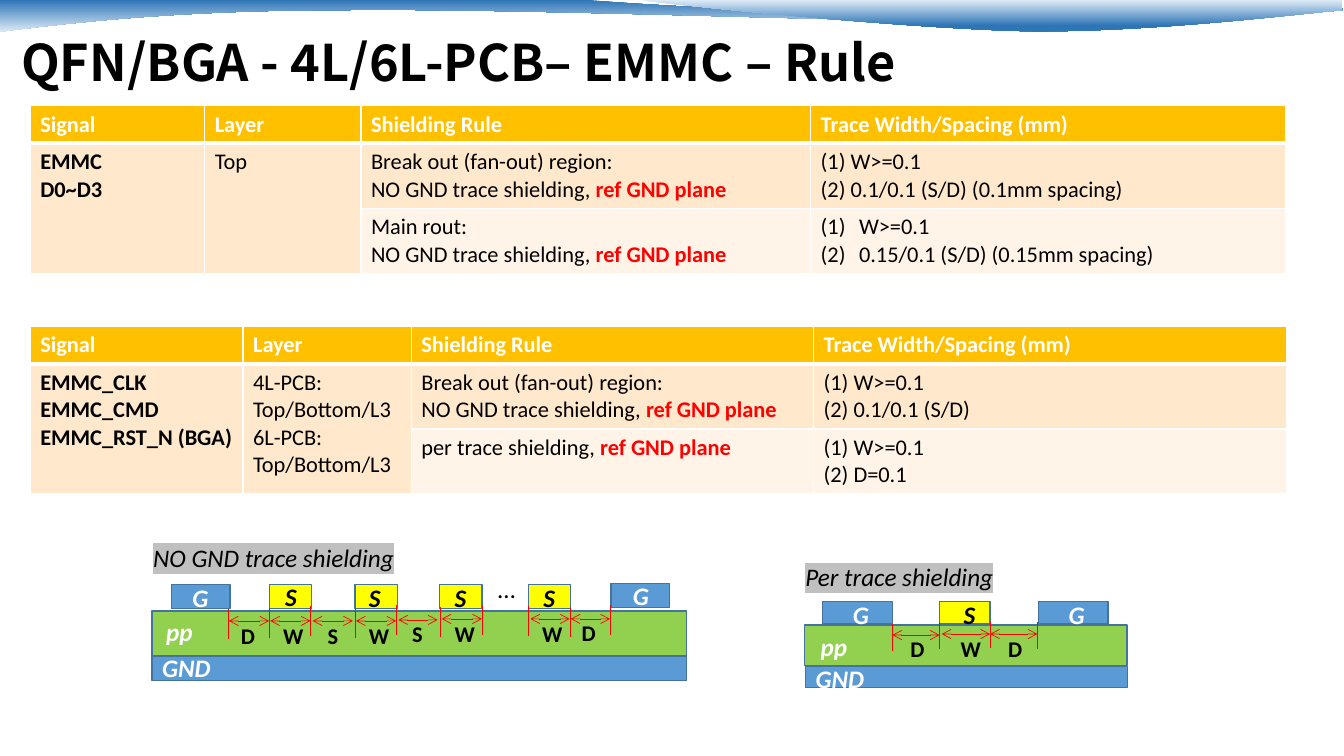
from lxml import etree
from pptx import Presentation
from pptx import util as u
from pptx.dml.color import RGBColor
from pptx.enum import shapes, text
from pptx.oxml.ns import qn

BLACK = RGBColor(0x00, 0x00, 0x00)
WHITE = RGBColor(0xFF, 0xFF, 0xFF)
RED = RGBColor(0xFF, 0x00, 0x00)
YELLOW = RGBColor(0xFF, 0xFF, 0x00)
GREEN = RGBColor(0x92, 0xD0, 0x50)
BLUE = RGBColor(0x5B, 0x9B, 0xD5)
OUTLINE = RGBColor(0x43, 0x73, 0x9E)
WAVE_DARK = RGBColor(0x2E, 0x75, 0xB6)
WAVE_LIGHT = RGBColor(0xDE, 0xEB, 0xF7)
HEADER = RGBColor(0xFF, 0xC0, 0x00)
ROW_FILLS = [HEADER, RGBColor(0xFF, 0xE8, 0xCC), RGBColor(0xFF, 0xF4, 0xE7)]
GREY = RGBColor(0xC0, 0xC0, 0xC0)

PX = 9144  # one px is a hundredth of an inch
LABEL_WIDTHS = {"pp": 52, "GND": 68, "G": 36, "S": 32, "W": 40, "D": 34, "…": 37}


class RuleSlide:
    font_name = "Calibri"

    def __init__(self, presentation):
        self.slide = presentation.slides.add_slide(presentation.slide_layouts[5])
        self.shapes = self.slide.shapes

    def px(self, *lengths):
        return [u.Emu(round(length * PX)) for length in lengths]

    def format_run(self, run, size, color, bold=False, italic=False, name=None):
        font = run.font
        font.size, font.bold, font.italic = u.Pt(size), bold, italic
        font.name = name or self.font_name
        font.color.rgb = color

    def title(self, content, box):
        shape = self.shapes.title
        shape.left, shape.top, shape.width, shape.height = self.px(*box)
        frame = shape.text_frame
        frame.text = content
        frame.word_wrap = True
        frame.auto_size = text.MSO_AUTO_SIZE.NONE
        frame.vertical_anchor = text.MSO_ANCHOR.BOTTOM
        frame.margin_top = frame.margin_bottom = 0
        paragraph = frame.paragraphs[0]
        paragraph.alignment = text.PP_ALIGN.LEFT
        paragraph.line_spacing = 0.9
        self.format_run(paragraph.runs[0], 36, BLACK, True, name="Noto Sans CJK TC")

    def wave(self, start, pieces, colors, last_stop):
        """Outline of pieces: one point is a line, three points are a curve."""
        builder = self.shapes.build_freeform(*self.px(*start))
        builder.add_line_segments(
            [self.px(*point) for piece in pieces for point in piece], close=True)
        shape = builder.convert_to_shape()
        segments = iter(list(shape._element.iter(qn("a:lnTo"))))
        for piece in pieces:
            ends = [next(segments) for _ in piece]
            if len(ends) == 3:
                bezier = etree.Element(qn("a:cubicBezTo"))
                ends[0].addprevious(bezier)
                for end in ends:
                    bezier.append(end[0])
                    end.getparent().remove(end)
        shape.shadow.inherit = False
        shape.line.fill.background()
        shape.fill.gradient()
        shape.fill.gradient_angle = 270
        for stop, color, position in zip(shape.fill.gradient_stops, colors, (0, last_stop)):
            stop.color.rgb = color
            stop.position = position

    def block(self, box, color):
        shape = self.shapes.add_shape(shapes.MSO_SHAPE.RECTANGLE, *self.px(*box))
        shape.shadow.inherit = False
        shape.fill.solid()
        shape.fill.fore_color.rgb = color
        shape.line.color.rgb = OUTLINE
        shape.line.width = u.Pt(1)

    def label(self, content, left, top, size=18, color=BLACK, bold=True, italic=True,
              width=None, highlight=None):
        box = (left, top, width or LABEL_WIDTHS[content], 40 if size == 18 else 37)
        frame = self.shapes.add_textbox(*self.px(*box)).text_frame
        frame.word_wrap = False
        frame.auto_size = text.MSO_AUTO_SIZE.SHAPE_TO_FIT_TEXT
        frame.text = content
        run = frame.paragraphs[0].runs[0]
        self.format_run(run, size, color, bold, italic)
        if highlight is not None:
            mark = etree.Element(qn("a:highlight"))
            etree.SubElement(mark, qn("a:srgbClr"), val=str(highlight))
            run.font._element.find(qn("a:solidFill")).addnext(mark)

    def line(self, start, end, arrows=False):
        connector = self.shapes.add_connector(
            shapes.MSO_CONNECTOR.STRAIGHT, *self.px(*start, *end))
        connector.line.color.rgb = RED
        connector.line.width = u.Pt(0.5)
        if arrows:
            outline = connector.line._get_or_add_ln()
            for tag in ("a:headEnd", "a:tailEnd"):
                etree.SubElement(outline, qn(tag), type="arrow")
        etree.SubElement(connector._element.spPr, qn("a:effectLst"))

    def cell(self, cell, lines, row, column):
        properties = cell._tc.get_or_add_tcPr()
        thick_side = {0: "a:lnB", 1: "a:lnT"}.get(row)
        for tag in ("a:lnL", "a:lnR", "a:lnT", "a:lnB"):
            width = u.Pt(3 if tag == thick_side else 1)
            border = etree.SubElement(properties, qn(tag), w=str(width))
            fill = etree.SubElement(border, qn("a:solidFill"))
            etree.SubElement(fill, qn("a:srgbClr"), val=str(WHITE))
        cell.fill.solid()
        cell.fill.fore_color.rgb = ROW_FILLS[row]
        frame = cell.text_frame
        for index, content in enumerate(lines):
            paragraph = frame.paragraphs[0] if index == 0 else frame.add_paragraph()
            if content.startswith("#"):  # numbered (1), (2)
                layout = paragraph._p.get_or_add_pPr()
                layout.set("marL", str(38 * PX))
                layout.set("indent", str(-38 * PX))
                etree.SubElement(layout, qn("a:buAutoNum"), type="arabicParenBoth")
            for part, words in enumerate(content.lstrip("#").split("|")):
                for number, words_on_line in enumerate(words.split("\n")):
                    if number:
                        paragraph.add_line_break()
                    run = paragraph.add_run()
                    run.text = words_on_line
                    color = RED if part else WHITE if row == 0 else BLACK
                    self.format_run(run, 16, color, bool(part) or row == 0 or column == 0)
            for line_break in paragraph._p.findall(qn("a:br")):
                etree.SubElement(line_break, qn("a:rPr"), sz="1600")

    def table(self, left, top, widths, heights, rows):
        box = self.px(left, top, sum(widths), sum(heights))
        frame = self.shapes.add_table(len(heights), len(widths), *box)
        table = frame.table
        table.horz_banding = False
        for column, width in zip(table.columns, self.px(*widths)):
            column.width = width
        for row, height in zip(table.rows, self.px(*heights)):
            row.height = height
        frame.height = u.Emu(163 * PX)  # rows grow with their text
        for row, contents in enumerate(rows):
            for column, lines in enumerate(contents):
                self.cell(table.cell(row, column), lines, row, column)
        for column in (0, 1):
            table.cell(1, column).merge(table.cell(2, column))

    def stackup(self, layers, traces, trace_height, guides, guide_length, spans, letters):
        for color, box, *_ in layers:
            self.block(box, color)
        for _, _, name, left, top in layers:
            self.label(name, left, top, color=WHITE)
        for name, left, top, width, label_left, label_top in traces:
            self.block((left, top, width, trace_height), YELLOW if name == "S" else BLUE)
            self.label(name, label_left, label_top, color=BLACK if name == "S" else WHITE)
        for left, top in guides:
            self.line((left, top + guide_length), (left, top))
        for start, end, top in spans:
            self.line((start, top), (end, top), arrows=True)
        for name, left, top in letters:
            self.label(name, left, top, size=16, italic=False)


def main():
    presentation = Presentation()
    presentation.slide_width, presentation.slide_height = u.Inches(13.33), u.Inches(7.5)
    rule = RuleSlide(presentation)

    # Header waves and title
    rule.wave((-3, 0), [[(584, 0)], [(632, 5), (882, 18), (1009, 18)],
                        [(1135, 18), (1275, 7), (1331, 3)], [(1332, 10)],
                        [(1309, 13), (1157, 22), (992, 22)], [(827, 21), (506, 8), (340, 10)],
                        [(170, 10), (59, 24), (-4, 32)]],
              (WAVE_DARK, WAVE_LIGHT), 1)
    rule.wave((636, 0), [[(677, 6), (907, 29), (1022, 31)],
                         [(1138, 32), (1279, 15), (1331, 10)], [(1331, 0)]],
              (WAVE_LIGHT, WAVE_DARK), 0.8)
    rule.title("QFN/BGA - 4L/6L-PCB– EMMC – Rule", (11, 13, 1226, 79))

    # Rule tables: "|" starts the red part of a line
    header = [["Signal"], ["Layer"], ["Shielding Rule"], ["Trace Width/Spacing (mm)"]]
    no_shield = "NO GND trace shielding, |ref GND plane"
    break_out = ["Break out (fan-out) region:\n" + no_shield]
    rule.table(30, 324, (211, 167, 399, 469), (33, 33, 33), [
        header,
        [["EMMC_CLK", "EMMC_CMD", "EMMC_RST_N (BGA)"],
         ["4L-PCB: \nTop/Bottom/L3", "6L-PCB:\nTop/Bottom/L3"],
         break_out, ["(1) W>=0.1", "(2) 0.1/0.1 (S/D)"]],
        [[], [], ["per trace shielding, |ref GND plane"], ["(1) W>=0.1", "(2) D=0.1"]]])
    rule.table(30, 105, (173, 155, 446, 471), (17, 30, 57), [
        header,
        [["EMMC", "D0~D3"], ["Top"], break_out,
         ["(1) W>=0.1", "(2) 0.1/0.1 (S/D) (0.1mm spacing)"]],
        [[], [], ["Main rout:", no_shield],
         ["#W>=0.1", "#0.15/0.1 (S/D) (0.15mm spacing)"]]])

    # Cross-section without ground traces between signals
    rule.label("NO GND trace shielding", 142, 533, bold=False, width=259, highlight=GREY)
    rule.stackup(
        layers=[(GREEN, (151, 606, 530, 51), "pp", 155, 607),
                (BLUE, (151, 651, 530, 24), "GND", 151, 642)],
        traces=[("G", 170, 580, 58, 181, 573), ("S", 267, 580, 42, 273, 572),
                ("S", 352, 580, 42, 356, 573), ("S", 436, 580, 42, 441, 573),
                ("S", 524, 580, 42, 529, 573), ("G", 606, 579, 58, 618, 571)],
        trace_height=24,
        guides=[(227, 604), (267, 603), (308, 601), (352, 603), (393, 600), (437, 602),
                (478, 600), (524, 601), (566, 602), (605, 600)],
        guide_length=30,
        spans=[(227, 267, 616), (268, 308, 616), (310, 350, 616), (353, 393, 616),
               (395, 434, 615), (438, 478, 614), (526, 565, 614), (566, 605, 614)],
        letters=[("D", 229, 612), ("W", 271, 612), ("S", 315, 612), ("W", 356, 612),
                 ("S", 399, 610), ("W", 441, 610), ("W", 528, 610), ("D", 567, 609)])
    rule.label("…", 484, 564, bold=False, italic=False)

    # Cross-section with a ground trace on each side of the signal
    rule.label("Per trace shielding", 789, 552, bold=False, width=207, highlight=GREY)
    rule.stackup(
        layers=[(GREEN, (798, 620, 320, 40), "pp", 804, 621),
                (BLUE, (799, 661, 319, 21), "GND", 799, 653)],
        traces=[("G", 816, 597, 69, 836, 590), ("S", 932, 597, 50, 946, 590),
                ("G", 1030, 597, 69, 1050, 590)],
        trace_height=22,
        guides=[(885, 619), (932, 617), (982, 616), (1029, 617)],
        guide_length=27,
        spans=[(885, 932, 630), (934, 982, 629), (982, 1029, 629)],
        letters=[("D", 893, 625), ("W", 943, 625), ("D", 990, 625)])

    presentation.save("out.pptx")


if __name__ == "__main__":
    main()
